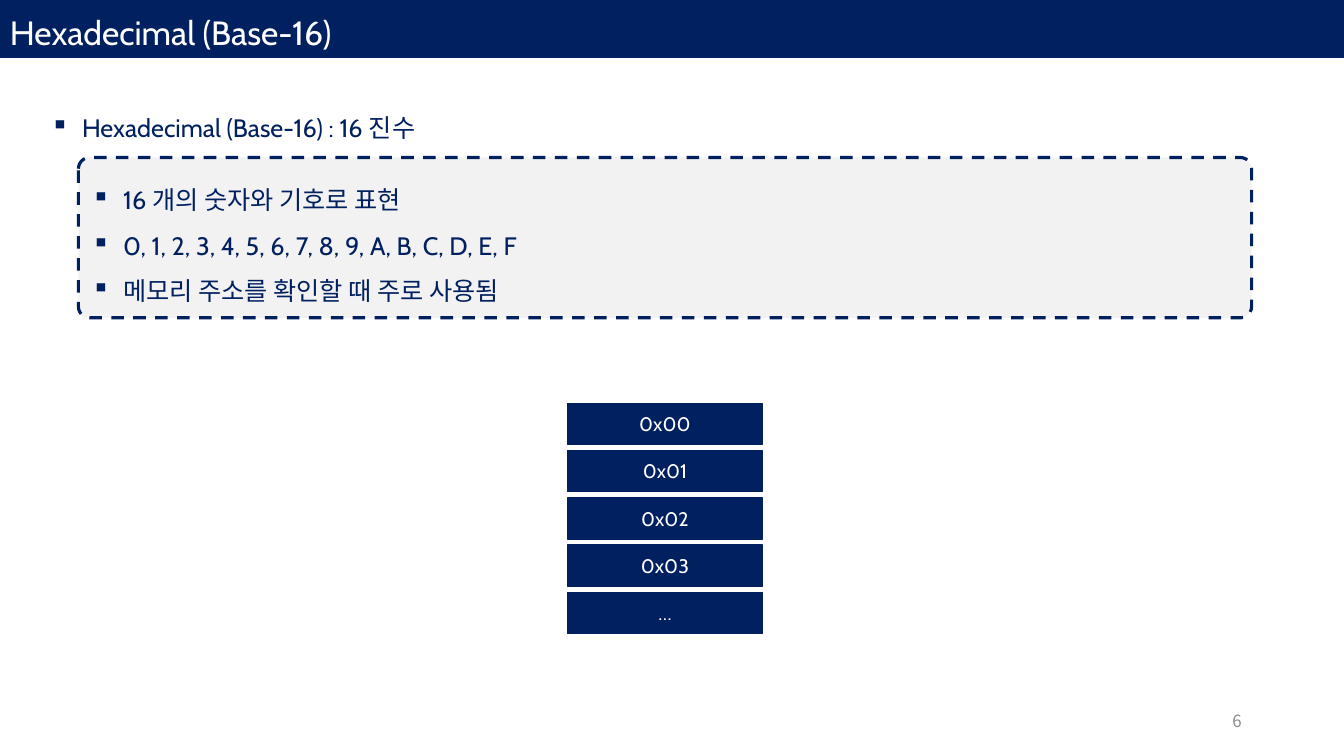
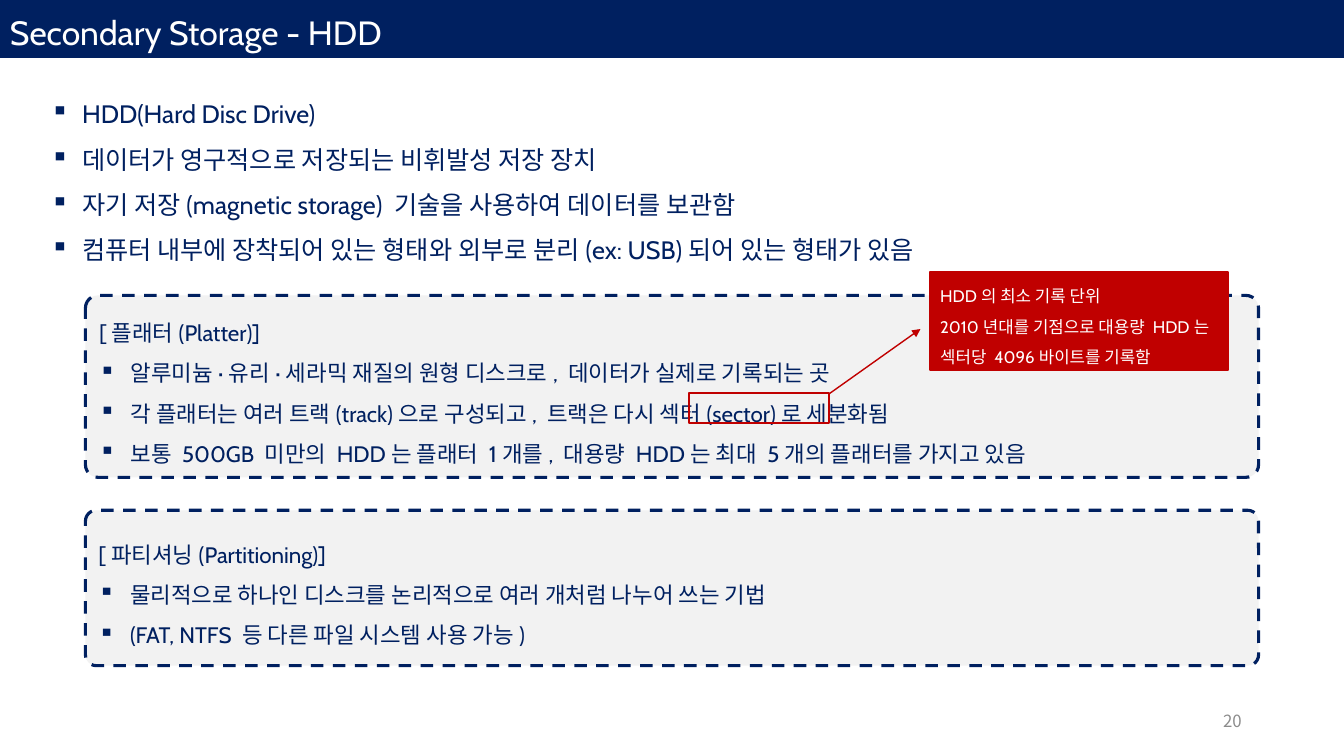
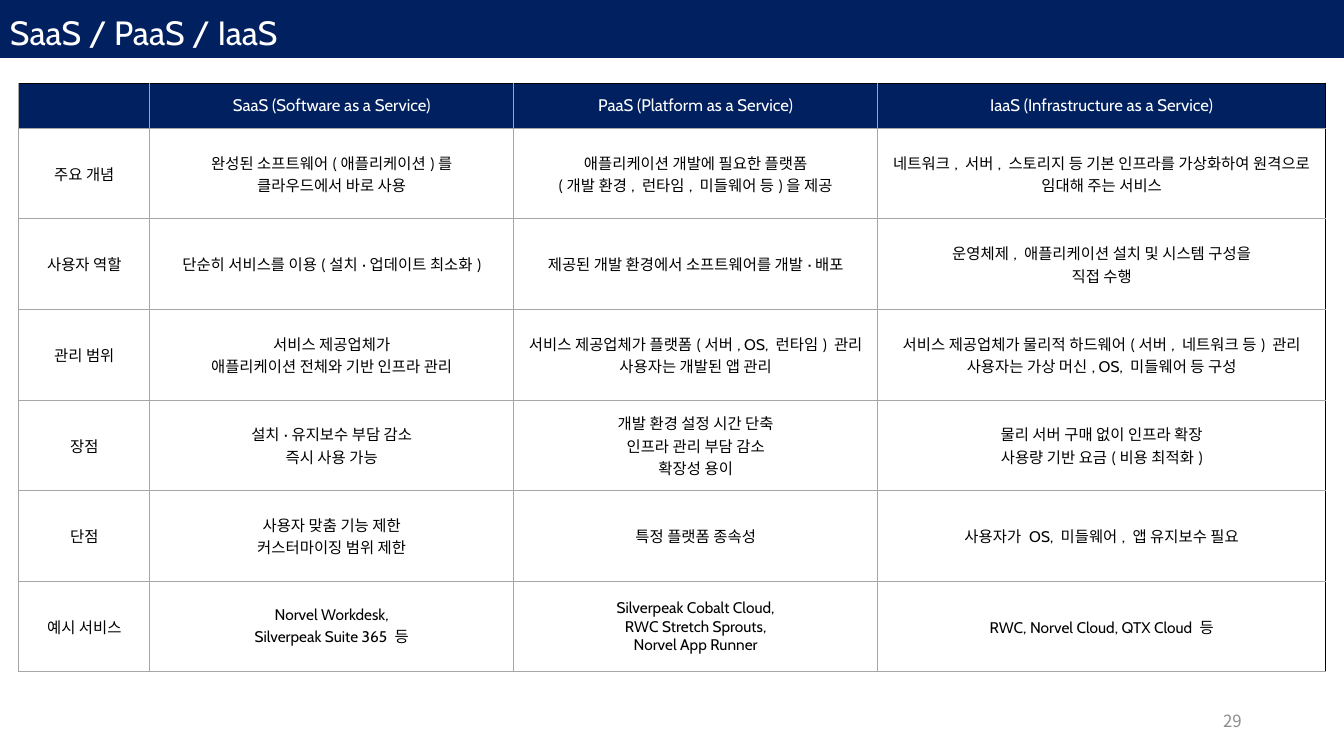
from lxml.etree import SubElement
from pptx import Presentation
from pptx.dml.color import RGBColor
from pptx.enum.dml import MSO_LINE_DASH_STYLE as Dash
from pptx.enum.shapes import MSO_CONNECTOR_TYPE as Link, MSO_SHAPE as Form
from pptx.enum.text import MSO_ANCHOR as Anchor, PP_ALIGN as Align
from pptx.oxml.ns import qn
from pptx.util import Pt

COLORS = {
    "navy": "002060",
    "red": "C00000",
    "panel": "F2F2F2",
    "grid": "A6A6A6",
    "number": "8C8C8C",
    "white": "FFFFFF",
    "black": "000000",
}
LATIN, KOREAN = "Cabin", "Noto Sans CJK KR"
WIDTH, HEIGHT = 960, 540
INDENT = 22.5


def color(name):
    return RGBColor.from_string(COLORS[name])


def apply(target, **values):
    for name, value in values.items():
        setattr(target, name, value)


class Deck:
    def __init__(self):
        self.deck = Presentation()
        apply(self.deck, slide_width=Pt(WIDTH), slide_height=Pt(HEIGHT))
        self.page = None

    def new_page(self, title, number):
        self.page = self.deck.slides.add_slide(self.deck.slide_layouts[6])
        self.shape((0, 0, WIDTH, 41), fill="navy", line="navy")
        self.text((0, 5, WIDTH, 36), [title], size=24, ink="white")
        self.text((678, 500, 216, 29), [number], size=12, ink="number",
                  font=KOREAN, align=Align.RIGHT)

    def paragraphs(self, frame, lines, size=18, ink="navy", font=LATIN,
                   align=Align.LEFT, spacing=1, bullets_from=None):
        for index, line in enumerate(lines):
            para = frame.paragraphs[0] if index == 0 else frame.add_paragraph()
            if bullets_from is not None and index >= bullets_from:
                self.bullet(para)
            apply(para, alignment=align, line_spacing=spacing)
            span = para.add_run()
            span.text = line
            apply(span.font, size=Pt(size), name=font)
            span.font.color.rgb = color(ink)
            SubElement(span.font._element, qn("a:ea"), typeface=KOREAN)

    def bullet(self, para):
        properties = para._p.get_or_add_pPr()
        properties.set("marL", str(Pt(INDENT)))
        properties.set("indent", str(Pt(-INDENT)))
        SubElement(properties, qn("a:buChar"), char="▪")

    def text(self, area, lines, **style):
        box = self.page.shapes.add_textbox(*map(Pt, area))
        apply(box.text_frame, word_wrap=True, vertical_anchor=Anchor.MIDDLE)
        self.paragraphs(box.text_frame, lines, **style)

    def shape(self, area, lines=(), fill=None, line="navy", weight=1,
              form=Form.RECTANGLE, parent=None, **style):
        box = (parent or self.page).shapes.add_shape(form, *map(Pt, area))
        box.shadow.inherit = False
        if fill:
            box.fill.solid()
            box.fill.fore_color.rgb = color(fill)
        else:
            box.fill.background()
        box.line.color.rgb = color(line)
        box.line.width = Pt(weight)
        apply(box.text_frame, word_wrap=True, vertical_anchor=Anchor.MIDDLE)
        self.paragraphs(box.text_frame, lines, **style)
        return box

    def panel(self, area, lines, **style):
        box = self.shape(area, lines, fill="panel", weight=2.25,
                         form=Form.ROUNDED_RECTANGLE, spacing=1.5, **style)
        box.adjustments[0] = 0.07
        box.line.dash_style = Dash.DASH

    def stack(self, area, pitch, labels):
        group = self.page.shapes.add_group_shape()
        left, top, width, height = area
        for index, label in enumerate(labels):
            self.shape((left, top + index * pitch, width, height), [label],
                       fill="navy", parent=group, size=14, ink="white",
                       align=Align.CENTER)

    def arrow(self, start, end, ink):
        arrow = self.page.shapes.add_connector(
            Link.STRAIGHT, *map(Pt, start + end))
        arrow.line.color.rgb = color(ink)
        arrow.line.width = Pt(1)
        SubElement(arrow.line._get_or_add_ln(), qn("a:tailEnd"), type="triangle")
        SubElement(arrow._element.spPr, qn("a:effectLst"))

    def border(self, cell, side, ink, weight):
        line = SubElement(cell._tc.get_or_add_tcPr(), qn(f"a:ln{side}"),
                          w=str(Pt(weight)))
        fill = SubElement(line, qn("a:solidFill"))
        SubElement(fill, qn("a:srgbClr"), val=COLORS[ink])

    def table(self, corner, widths, heights, rows):
        area = (*corner, sum(widths), sum(heights))
        table = self.page.shapes.add_table(
            len(rows), len(widths), *map(Pt, area)).table
        apply(table, first_row=False, horz_banding=False)
        for column, width in zip(table.columns, widths):
            column.width = Pt(width)
        for index, height in enumerate(heights):
            table.rows[index].height = Pt(height)
            for place, content in enumerate(rows[index]):
                cell = table.cell(index, place)
                header = index == 0
                edges = {"R": place == len(widths) - 1, "T": header}
                for side in "LRTB":
                    outer = edges.get(side, False)
                    self.border(cell, side, "black" if outer else "grid",
                                1 if outer else 0.75)
                if header:
                    cell.fill.solid()
                    cell.fill.fore_color.rgb = color("navy")
                else:
                    cell.fill.background()
                cell.vertical_anchor = Anchor.MIDDLE
                if content:
                    self.paragraphs(cell.text_frame, content.split("\n"),
                                    size=12 if header else 11,
                                    ink="white" if header else "black",
                                    align=Align.CENTER)


SERVICES = [
    ["", "SaaS (Software as a Service)", "PaaS (Platform as a Service)",
     "IaaS (Infrastructure as a Service)"],
    ["주요 개념",
     "완성된 소프트웨어(애플리케이션)를\n클라우드에서 바로 사용",
     "애플리케이션 개발에 필요한 플랫폼\n(개발 환경, 런타임, 미들웨어 등)을 제공",
     "네트워크, 서버, 스토리지 등 기본 인프라를 가상화하여 원격으로 임대해 주는 서비스"],
    ["사용자 역할",
     "단순히 서비스를 이용(설치·업데이트 최소화)",
     "제공된 개발 환경에서 소프트웨어를 개발·배포",
     "운영체제, 애플리케이션 설치 및 시스템 구성을\n직접 수행"],
    ["관리 범위",
     "서비스 제공업체가\n애플리케이션 전체와 기반 인프라 관리",
     "서비스 제공업체가 플랫폼(서버, OS, 런타임) 관리\n사용자는 개발된 앱 관리",
     "서비스 제공업체가 물리적 하드웨어(서버, 네트워크 등) 관리\n"
     "사용자는 가상 머신, OS, 미들웨어 등 구성"],
    ["장점",
     "설치·유지보수 부담 감소\n즉시 사용 가능",
     "개발 환경 설정 시간 단축\n인프라 관리 부담 감소\n확장성 용이",
     "물리 서버 구매 없이 인프라 확장\n사용량 기반 요금(비용 최적화)"],
    ["단점",
     "사용자 맞춤 기능 제한\n커스터마이징 범위 제한",
     "특정 플랫폼 종속성",
     "사용자가 OS, 미들웨어, 앱 유지보수 필요"],
    ["예시 서비스",
     "Norvel Workdesk,\nSilverpeak Suite 365 등",
     "Silverpeak Cobalt Cloud,\nRWC Stretch Sprouts,\nNorvel App Runner",
     "RWC, Norvel Cloud, QTX Cloud 등"],
]


def main():
    deck = Deck()

    deck.new_page("Hexadecimal (Base-16)", "6")
    deck.text((29, 76, 902, 30), ["Hexadecimal (Base-16) : 16진수"],
              bullets_from=0)
    deck.panel((56, 112.5, 838, 114.5), [
        "16개의 숫자와 기호로 표현",
        "0, 1, 2, 3, 4, 5, 6, 7, 8, 9, A, B, C, D, E, F",
        "메모리 주소를 확인할 때 주로 사용됨",
    ], bullets_from=0)
    deck.stack((405.5, 288, 139, 29.5), 33.8,
               ["0x00", "0x01", "0x02", "0x03", "…"])

    deck.new_page("Secondary Storage - HDD", "20")
    deck.text((29, 55.5, 902, 138), [
        "HDD(Hard Disc Drive)",
        "데이터가 영구적으로 저장되는 비휘발성 저장 장치",
        "자기 저장(magnetic storage) 기술을 사용하여 데이터를 보관함",
        "컴퓨터 내부에 장착되어 있는 형태와 외부로 분리(ex: USB)되어 있는 형태가 있음",
    ], spacing=1.5, bullets_from=0)
    deck.panel((61, 211, 838, 130), [
        "[플래터(Platter)]",
        "알루미늄·유리·세라믹 재질의 원형 디스크로, 데이터가 실제로 기록되는 곳",
        "각 플래터는 여러 트랙(track)으로 구성되고, 트랙은 다시 섹터(sector)로 세분화됨",
        "보통 500GB 미만의 HDD는 플래터 1개를, 대용량 HDD는 최대 5개의 플래터를 가지고 있음",
    ], size=16, bullets_from=1)
    deck.panel((61, 364.5, 838, 111), [
        "[파티셔닝(Partitioning)]",
        "물리적으로 하나인 디스크를 논리적으로 여러 개처럼 나누어 쓰는 기법",
        "(FAT, NTFS 등 다른 파일 시스템 사용 가능)",
    ], size=16, bullets_from=1)
    deck.shape((492.5, 281, 100, 21.5), line="red", weight=1.5)
    deck.shape((664.5, 194.5, 213, 70), [
        "HDD의 최소 기록 단위",
        "2010년대를 기점으로 대용량 HDD는",
        "섹터당 4096바이트를 기록함",
    ], fill="red", line="red", weight=1.5, size=12, ink="white", spacing=1.5)
    deck.arrow((592, 281.5), (657.5, 235), "red")

    deck.new_page("SaaS / PaaS / IaaS", "29")
    deck.table((13.5, 59.5), [93.5, 260, 260, 320], [32] + [64.75] * 6, SERVICES)

    deck.deck.save("out.pptx")


if __name__ == "__main__":
    main()
